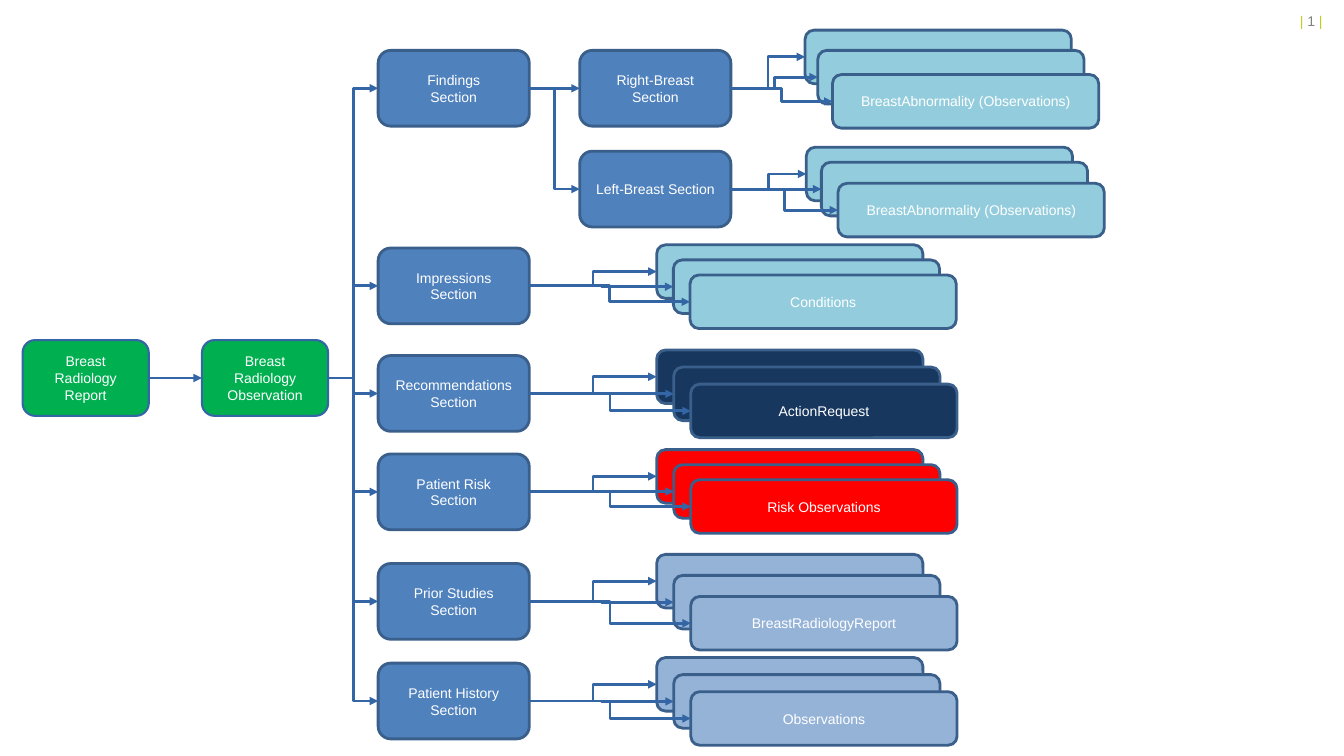
from dataclasses import dataclass
from pptx import Presentation
from pptx.dml.color import RGBColor
from pptx.enum.shapes import MSO_CONNECTOR, MSO_SHAPE
from pptx.enum.text import MSO_ANCHOR, PP_ALIGN
from pptx.oxml.ns import qn
from pptx.util import Cm, Pt
from lxml import etree

ROUND = MSO_SHAPE.ROUNDED_RECTANGLE
ELBOW = MSO_CONNECTOR.ELBOW
MIDDLE = MSO_ANCHOR.MIDDLE
CENTER = PP_ALIGN.CENTER
RIGHT = PP_ALIGN.RIGHT
LEFT_SITE, RIGHT_SITE = 1, 3


@dataclass(frozen=True)
class Theme:
    """Colours, font and sizes of the slide."""
    font: str = "Arial"
    size: float = 10
    white: str = "FFFFFF"
    root: str = "00B050"
    section: str = "4F81BD"
    finding: str = "93CDDD"
    action: str = "17375E"
    risk: str = "FF0000"
    past: str = "95B3D7"
    edge: str = "3A5F8B"
    link: str = "3465A4"
    bar: str = "C1CD23"
    page: str = "808080"
    edge_width: float = 2
    root_width: float = 1.5


THEME = Theme()
NODE = (3.81, 1.91)
ROOT = (3.18, 1.91)
CARD = (6.71, 1.35)


def add_run(para, text, color):
    """Add one styled run to a paragraph."""
    run = para.add_run()
    run.text = text
    run.font.name = THEME.font
    run.font.size = Pt(THEME.size)
    run.font.color.rgb = RGBColor.from_string(color)
    return run


def add_node(slide, box, text, fill, edge=THEME.edge, width=THEME.edge_width, pad=(0.25, 0.13)):
    """Draw a rounded box with one centred paragraph per line of text."""
    node = slide.shapes.add_shape(ROUND, *map(Cm, box))
    node.shadow.inherit = False
    node.fill.solid()
    node.fill.fore_color.rgb = RGBColor.from_string(fill)
    node.line.color.rgb = RGBColor.from_string(edge)
    node.line.width = Pt(width)
    frame = node.text_frame
    frame.word_wrap = True
    frame.vertical_anchor = MIDDLE
    frame.margin_left = frame.margin_right = Cm(pad[0])
    frame.margin_top = frame.margin_bottom = Cm(pad[1])
    for i, line in enumerate(text.splitlines()):
        para = frame.add_paragraph() if i else frame.paragraphs[0]
        para.alignment = CENTER
        add_run(para, line, THEME.white)
    return node


def add_link(slide, start, end):
    """Join two boxes with a bent arrow."""
    link = slide.shapes.add_connector(ELBOW, 0, 0, 0, 0)
    link.begin_connect(start, RIGHT_SITE)
    link.end_connect(end, LEFT_SITE)
    link.line.color.rgb = RGBColor.from_string(THEME.link)
    link.line.width = Pt(0)
    etree.SubElement(link.line._get_or_add_ln(), qn("a:tailEnd"), type="triangle")
    etree.SubElement(link._element.spPr, qn("a:effectLst"))


def add_stack(slide, box, steps, text, fill, source):
    """Draw three stepped cards, the front one labelled, and link them."""
    left, top, width, height = box
    cards = [
        add_node(slide, (left + x, top + y, width, height), label, fill)
        for (x, y), label in zip([(0, 0), *steps], ["", "", text])
    ]
    for card in cards:
        add_link(slide, source, card)


def add_roots(slide, box):
    """Draw the report and its observation, and return the latter."""
    left, top, width, height = box
    report, study = [
        add_node(slide, (left + i * 4.52, top, width, height), text, THEME.root,
                 THEME.link, THEME.root_width, (0.28, 0.15))
        for i, text in enumerate(["Breast Radiology Report", "Breast Radiology Observation"])
    ]
    add_link(slide, report, study)
    return study


def add_findings(slide, box, study):
    """Draw the findings branch with both breast sections."""
    left, top, width, height = box
    main = add_node(slide, box, "Findings\nSection", THEME.section)
    add_link(slide, study, main)
    sides = [
        ("Right-Breast Section", 0, (10.76, -0.51), [(0.32, 0.51), (0.69, 1.12)]),
        ("Left-Breast Section", 2.54, (10.79, 2.44), [(0.38, 0.38), (0.8, 0.91)]),
    ]
    for text, drop, (x, y), steps in sides:
        side = add_node(slide, (left + 5.08, top + drop, width, height), text, THEME.section)
        add_link(slide, main, side)
        add_stack(slide, (left + x, top + y, *CARD), steps,
                  "BreastAbnormality (Observations)", THEME.finding, side)


def add_branch(slide, box, text, study, offset, step, label, fill):
    """Draw a section and its stack of results."""
    left, top = box[:2]
    main = add_node(slide, box, text, THEME.section)
    add_link(slide, study, main)
    steps = [(step[0] * i, step[1] * i) for i in (1, 2)]
    add_stack(slide, (left + 7.02, top + offset, *CARD), steps, label, fill, main)


def add_page(slide, box):
    """Write the page number between two bars."""
    frame = slide.shapes.add_textbox(*map(Cm, box)).text_frame
    frame.word_wrap = True
    para = frame.paragraphs[0]
    para.alignment = RIGHT
    para.space_after = Pt(6)
    add_run(para, "| ", THEME.bar)
    field = add_run(para, "1", THEME.page)._r
    field.tag = qn("a:fld")
    field.set("id", "{B6F15528-21DE-4FAA-801E-634DDDAF4B2B}")
    field.set("type", "slidenum")
    add_run(para, " |", THEME.bar)


def main():
    """Build and save the slide."""
    deck = Presentation()
    deck.slide_width, deck.slide_height = Cm(33.87), Cm(19.05)
    slide = deck.slides.add_slide(deck.slide_layouts[6])
    add_page(slide, (27.64, 0.18, 5.94, 0.69))
    study = add_roots(slide, (0.57, 8.57, *ROOT))
    add_findings(slide, (9.53, 1.27, *NODE), study)
    branches = [
        (6.25, "Impressions Section", -0.08, (0.42, 0.38), "Conditions", THEME.finding),
        (8.96, "Recommendations Section", -0.14, (0.43, 0.43), "ActionRequest", THEME.action),
        (11.44, "Patient Risk\nSection", -0.11, (0.43, 0.38), "Risk Observations", THEME.risk),
        (14.2, "Prior Studies\nSection", -0.23, (0.43, 0.53), "BreastRadiologyReport", THEME.past),
        (16.71, "Patient History\nSection", -0.14, (0.43, 0.43), "Observations", THEME.past),
    ]
    for top, text, *rest in branches:
        add_branch(slide, (9.53, top, *NODE), text, study, *rest)
    deck.save("out.pptx")


main()
